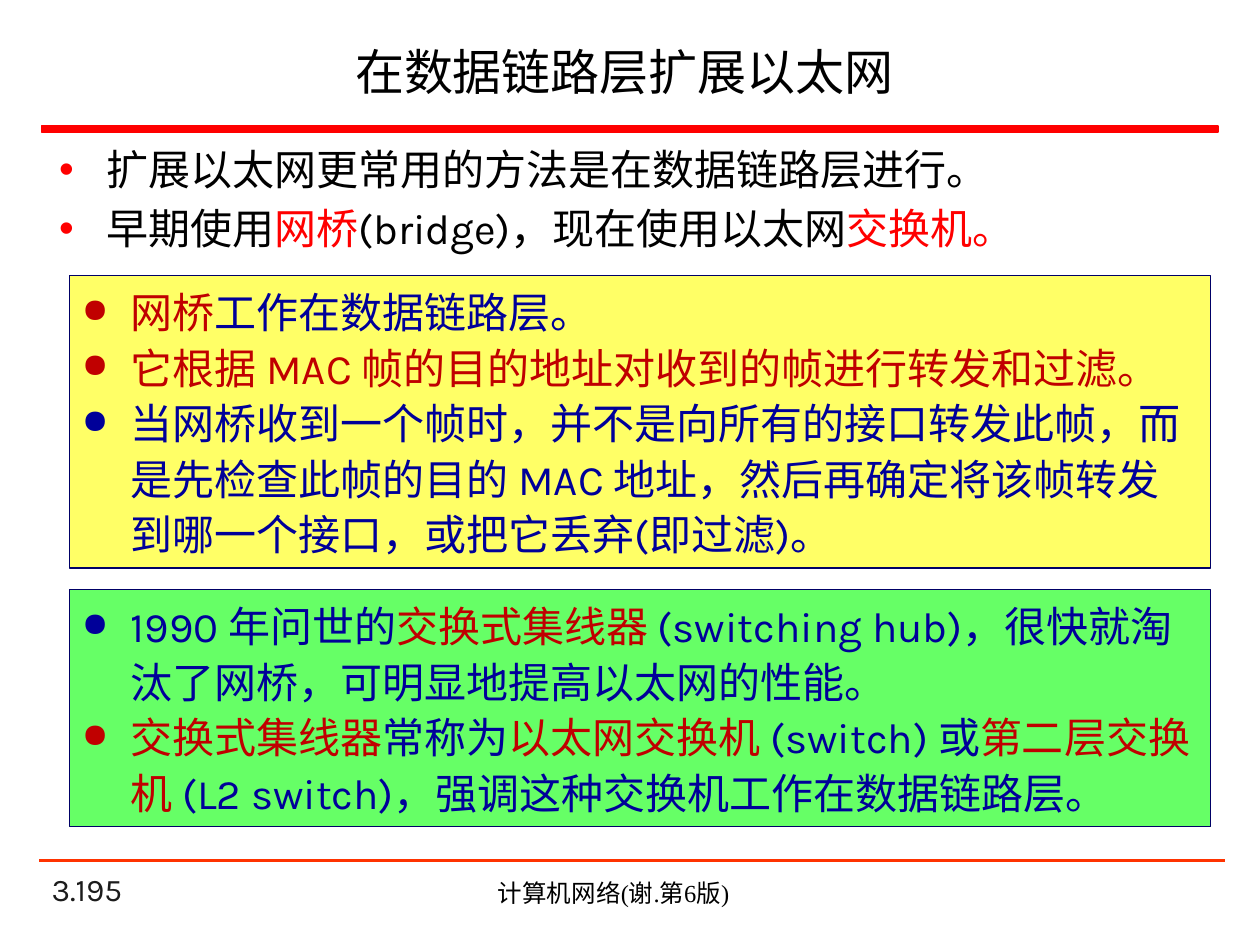
from dataclasses import dataclass

from lxml import etree
from pptx import Presentation
from pptx.dml.color import RGBColor
from pptx.enum.shapes import MSO_CONNECTOR, MSO_SHAPE
from pptx.enum.text import MSO_ANCHOR, MSO_AUTO_SIZE, PP_ALIGN
from pptx.oxml.ns import qn
from pptx.util import Cm, Pt

RECTANGLE = MSO_SHAPE.RECTANGLE
STRAIGHT = MSO_CONNECTOR.STRAIGHT
LEFT, CENTER = PP_ALIGN.LEFT, PP_ALIGN.CENTER
TOP, MIDDLE, BOTTOM = MSO_ANCHOR.TOP, MSO_ANCHOR.MIDDLE, MSO_ANCHOR.BOTTOM
NO_FIT, GROW = MSO_AUTO_SIZE.NONE, MSO_AUTO_SIZE.SHAPE_TO_FIT_TEXT


@dataclass(frozen=True)
class Theme:
    font: str = "Karla"
    footer_font: str = "Times New Roman"
    black: str = "000000"
    red: str = "FF0000"
    crimson: str = "C00000"
    navy: str = "000099"
    border: str = "000066"
    yellow: str = "FFFF66"
    green: str = "66FF66"
    rule: str = "FF3300"
    number: str = "1C1C1C"
    title_size: int = 28
    text_size: int = 24
    number_size: int = 18
    footer_size: int = 14


THEME = Theme()


def add_runs(paragraph, text, size=THEME.text_size, font=THEME.font,
             color=THEME.black, accent=THEME.red, align=LEFT):
    """Write text into a paragraph; parts between asterisks take the accent."""
    paragraph.alignment = align
    for index, part in enumerate(text.split("*")):
        if part:
            run = paragraph.add_run()
            run.text = part
            run.font.size = Pt(size)
            run.font.name = font
            run.font.color.rgb = RGBColor.from_string(accent if index % 2 else color)


def set_bullet(paragraph, character, indent, color=None, percent=None):
    properties = paragraph._p.get_or_add_pPr()
    properties.set("marL", str(Cm(indent)))
    properties.set("indent", str(-Cm(indent)))
    if color:
        holder = etree.SubElement(properties, qn("a:buClr"))
        etree.SubElement(holder, qn("a:srgbClr"), val=color)
    if percent:
        etree.SubElement(properties, qn("a:buSzPct"), val=str(percent * 1000))
    etree.SubElement(properties, qn("a:buChar"), char=character)


class SlideBuilder:
    def __init__(self, slide, theme):
        self.slide = slide
        self.theme = theme

    def place(self, shape, left, top, width, height):
        shape.left, shape.top = Cm(left), Cm(top)
        shape.width, shape.height = Cm(width), Cm(height)

    def prepare(self, shape, anchor=TOP, fit=NO_FIT):
        frame = shape.text_frame
        frame.word_wrap = True
        frame.auto_size = fit
        frame.vertical_anchor = anchor
        return frame

    def paragraphs(self, frame, texts):
        for index, text in enumerate(texts):
            yield (frame.add_paragraph() if index else frame.paragraphs[0]), text

    def title(self, text, *box):
        shape = self.slide.shapes.title
        self.place(shape, *box)
        frame = self.prepare(shape, MIDDLE)
        add_runs(frame.paragraphs[0], text, size=self.theme.title_size, align=CENTER)

    def body(self, texts, *box):
        shape = self.slide.placeholders[1]
        self.place(shape, *box)
        for paragraph, text in self.paragraphs(self.prepare(shape), texts):
            paragraph.space_before = Pt(self.theme.text_size * 0.2)
            set_bullet(paragraph, "•", 0.95, color=self.theme.red)
            add_runs(paragraph, text)

    def rectangle(self, fill, line, weight, *box):
        shape = self.slide.shapes.add_shape(RECTANGLE, *map(Cm, box))
        shape.shadow.inherit = False
        shape.fill.solid()
        shape.fill.fore_color.rgb = RGBColor.from_string(fill)
        shape.line.color.rgb = RGBColor.from_string(line)
        shape.line.width = Pt(weight)
        return shape

    def panel(self, texts, fill, *box):
        shape = self.rectangle(fill, self.theme.border, 0.75, *box)
        frame = self.prepare(shape, fit=GROW)
        for paragraph, text in self.paragraphs(frame, texts):
            paragraph.line_spacing = 1.1
            set_bullet(paragraph, "●", 0.99, percent=80)
            add_runs(paragraph, text, color=self.theme.navy, accent=self.theme.crimson)

    def line(self, left, right, y, color, weight):
        connector = self.slide.shapes.add_connector(
            STRAIGHT, Cm(left), Cm(y), Cm(right), Cm(y))
        connector.line.color.rgb = RGBColor.from_string(color)
        connector.line.width = Pt(weight)
        etree.SubElement(connector._element.spPr, qn("a:effectLst"))

    def label(self, text, *box, anchor=TOP, **style):
        shape = self.slide.shapes.add_textbox(*map(Cm, box))
        add_runs(self.prepare(shape, anchor).paragraphs[0], text, **style)


def main():
    presentation = Presentation()
    presentation.slide_width, presentation.slide_height = Cm(25.4), Cm(19.05)
    slide = presentation.slides.add_slide(presentation.slide_layouts[1])
    builder = SlideBuilder(slide, THEME)

    # Heading and red bar
    builder.title("在数据链路层扩展以太网 ", 0.91, 0.53, 23.57, 1.8)
    builder.rectangle(THEME.red, THEME.red, 1, 0.84, 2.54, 23.72, 0.13)

    # Opening list
    builder.body([
        "扩展以太网更常用的方法是在数据链路层进行。",
        "早期使用*网桥*(bridge)，现在使用以太网*交换机。*",
    ], 0.94, 2.77, 23.57, 14.3)

    # Bridge panel
    builder.panel([
        "*网桥*工作在数据链路层。",
        "*它根据 MAC 帧的目的地址对收到的帧进行转发和过滤。*",
        "当网桥收到一个帧时，并不是向所有的接口转发此帧，而是先检查此帧的目的 MAC 地址，"
        "然后再确定将该帧转发到哪一个接口，或把它丢弃(即过滤)。",
    ], THEME.yellow, 1.4, 5.56, 23.01, 5.89)

    # Switch panel
    builder.panel([
        "1990 年问世的*交换式集线器 *(switching hub)，很快就淘汰了网桥，"
        "可明显地提高以太网的性能。",
        "*交换式集线器*常称为*以太网交换机 *(switch) 或*第二层交换机 *"
        "(L2 switch)，强调这种交换机工作在数据链路层。",
    ], THEME.green, 1.4, 11.89, 23.01, 4.78)

    # Footer
    builder.line(0.79, 24.69, 17.35, THEME.rule, 1.5)
    builder.label("3.195", 0.79, 17.58, 5.28, 0.84, anchor=BOTTOM,
                  size=THEME.number_size, color=THEME.number)
    builder.label("计算机网络(谢.第6版)", 7.19, 17.58, 10.36, 0.86,
                  size=THEME.footer_size, font=THEME.footer_font, align=CENTER)

    presentation.save("out.pptx")


if __name__ == "__main__":
    main()
